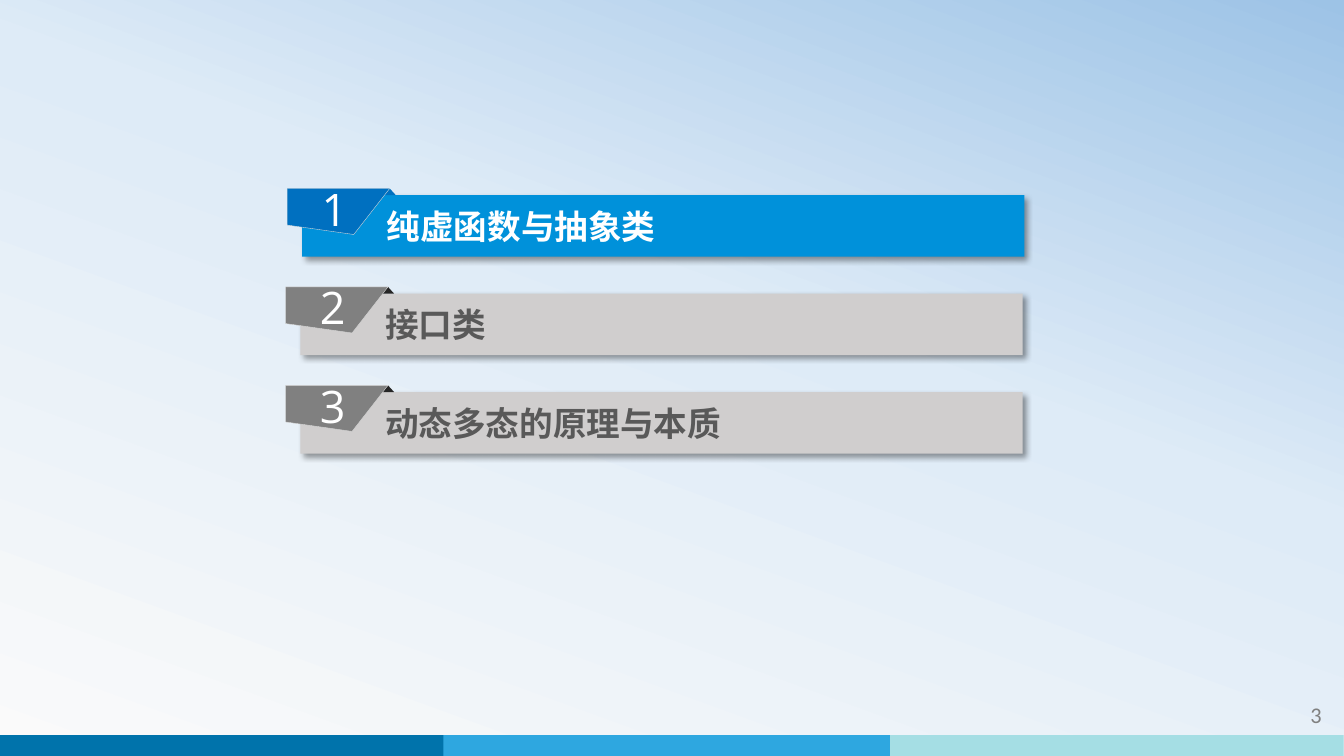
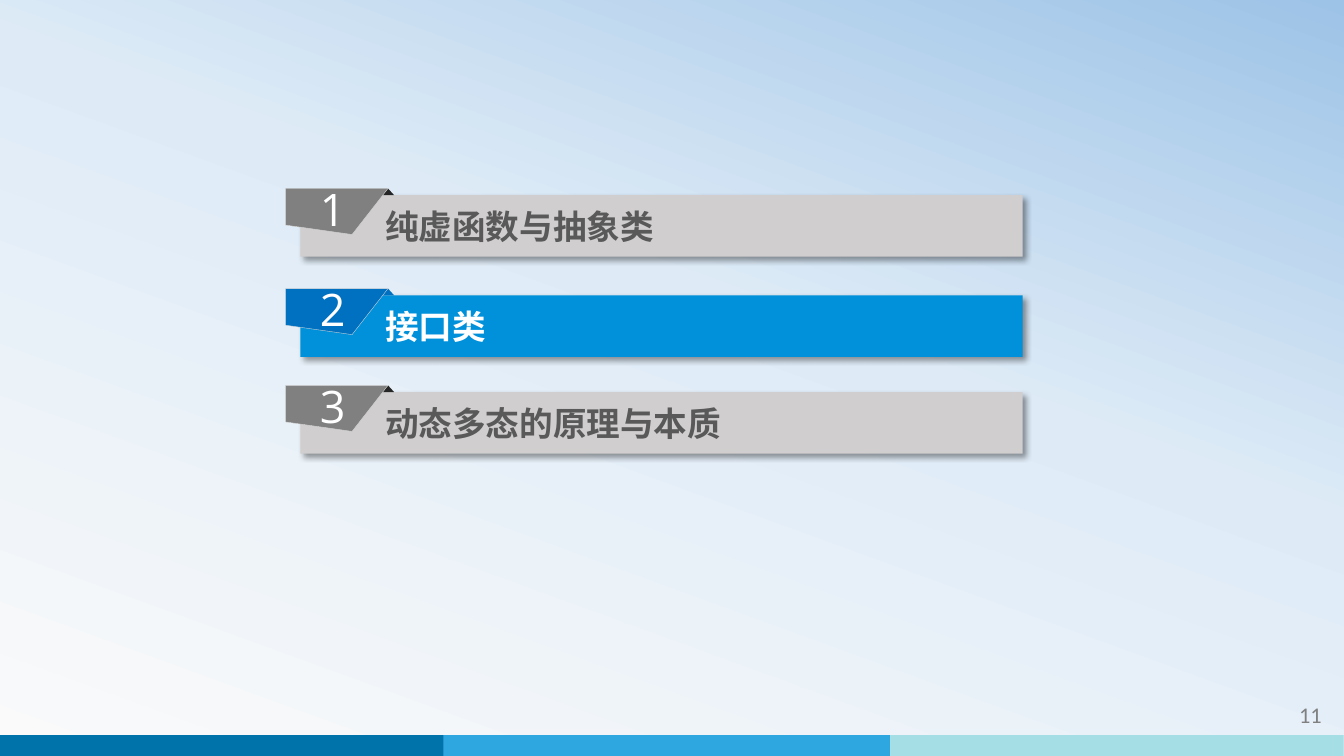
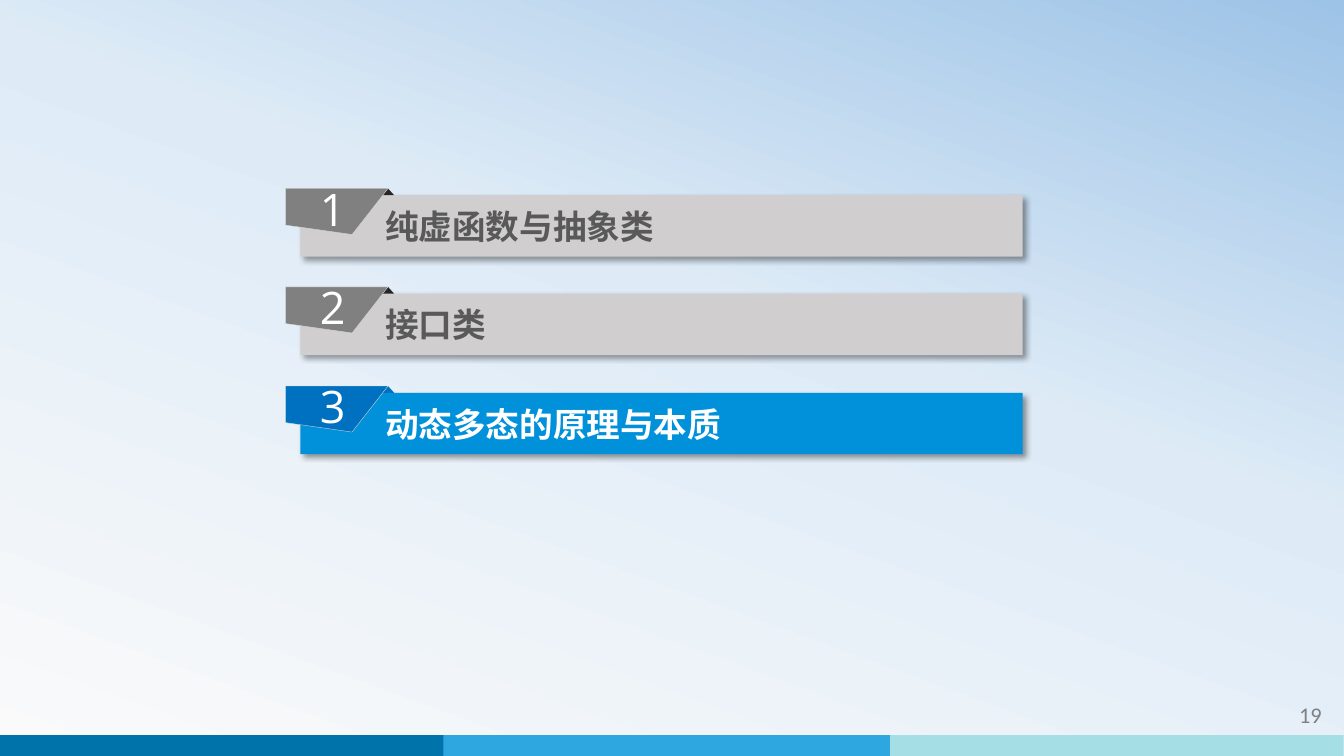
"""Build three agenda slides, each highlighting one section of the lecture."""
from copy import deepcopy

from lxml.etree import SubElement
from pptx import Presentation
from pptx.dml.color import RGBColor
from pptx.enum.shapes import MSO_SHAPE as SHAPE
from pptx.enum.text import MSO_ANCHOR as ANCHOR, PP_ALIGN as ALIGN
from pptx.oxml.ns import qn
from pptx.util import Inches, Pt

COLORS = {
    "white": "FFFFFF", "outline": "D9D9D9", "page_number": "808080", "shadow": "000000",
    "active_bar": "0091DA", "active_tab": "0070C0", "active_fold": "0070C0", "active_text": "FFFFFF",
    "idle_bar": "D0CECE", "idle_tab": "808080", "idle_fold": "262626", "idle_text": "595959",
    "band_dark": "0073AB", "band_mid": "2EA7E0", "band_light": "A5DEE4",
    "sky_low": "FAFAFA", "sky_mid": "DEEBF7", "sky_high": "9DC3E6",
}
SKY = [("sky_low", 0), ("sky_mid", 0.58), ("sky_high", 1)]
BANDS = ["band_dark", "band_mid", "band_light"]
COLUMNS, ROWS = 80, 45
BAND_STEP, ENTRY_STEP = 26.58, 5.86
ENTRY_LEFT, ENTRY_TOP = 17, 11.22
TAB_OUTLINE = [(0, 0), (6.1, 0), (3.96, 2.74), (0, 2.18)]
SECTIONS = ["纯虚函数与抽象类", "接口类", "动态多态的原理与本质"]
AGENDAS = [(3, 0, (0.1, 0)), (11, 1, (0, 0.1)), (19, 2, (0, 0.04))]


def rgb(name):
    return RGBColor.from_string(COLORS[name])


def write(shape, text, *, size, font, color, bold=False, align=ALIGN.LEFT,
          anchor=ANCHOR.MIDDLE, insets=(0.1, 0.05, 0.1, 0.05)):
    tf = shape.text_frame
    tf.word_wrap = True
    tf.vertical_anchor = anchor
    tf.margin_left, tf.margin_top, tf.margin_right, tf.margin_bottom = map(Inches, insets)
    p = tf.paragraphs[0]
    p.alignment = align
    r = p.add_run()
    r.text = text
    r.font.size, r.font.bold, r.font.name = Pt(size), bold, font
    r.font.color.rgb = rgb(color)
    SubElement(r._r.get_or_add_rPr(), qn("a:ea"), typeface=font)


class Deck:
    def __init__(self):
        self.prs = Presentation()
        self.prs.slide_width, self.prs.slide_height = Inches(13.333), Inches(7.5)
        self.s = None

    def x(self, columns):
        return round(self.prs.slide_width * columns / COLUMNS)

    def y(self, rows):
        return round(self.prs.slide_height * rows / ROWS)

    def box(self, left, top, width, height):
        return self.x(left), self.y(top), self.x(width), self.y(height)

    def style(self, shape, fill, line=None):
        shape.shadow.inherit = False
        shape.fill.solid()
        shape.fill.fore_color.rgb = rgb(fill)
        if line:
            shape.line.color.rgb = rgb(line)
            shape.line.width = Pt(0.25)
        else:
            shape.line.fill.background()
        return shape

    def preset(self, group, kind, box, fill):
        return self.style(group.shapes.add_shape(kind, *self.box(*box)), fill)

    def drop_shadow(self, shape):
        effects = shape.element.spPr.find(qn("a:effectLst"))
        shadow = SubElement(effects, qn("a:outerShdw"), blurRad=str(Pt(4)), dist=str(Pt(3)),
                            dir="2700000", algn="tl", rotWithShape="0")
        color = SubElement(shadow, qn("a:srgbClr"), val=COLORS["shadow"])
        SubElement(color, qn("a:alpha"), val="40000")

    def sky(self):
        fill = self.s.background.fill
        fill.gradient()
        fill.gradient_angle = 70
        stops = self.s.element.find(".//" + qn("a:gsLst"))
        stops.append(deepcopy(stops[0]))
        for stop, (color, position) in zip(fill.gradient_stops, SKY):
            stop.color.rgb = rgb(color)
            stop.position = position

    def slide(self, number):
        self.s = self.prs.slides.add_slide(self.prs.slide_layouts[6])
        self.sky()
        footer = self.s.shapes.add_group_shape()
        for i, color in enumerate(BANDS):
            self.preset(footer, SHAPE.RECTANGLE, (i * BAND_STEP - 0.18, 43.75, 27, 1.25), color)
        page = self.s.shapes.add_textbox(*self.box(69.72, 41.46, 9.54, 2.4))
        write(page, str(number), size=16, font="Calibri", color="page_number",
              align=ALIGN.RIGHT, anchor=ANCHOR.TOP)

    def entry(self, index, title, state, nudge):
        left = ENTRY_LEFT + nudge[0]
        top = ENTRY_TOP + index * ENTRY_STEP + nudge[1]
        group = self.s.shapes.add_group_shape()
        bar = self.preset(group, SHAPE.RECTANGLE, (left + 0.88, top + 0.4, 43, 3.66), state + "_bar")
        self.drop_shadow(bar)
        write(bar, title, size=24, font="Noto Sans CJK SC", color=state + "_text", bold=True,
              insets=(0.84, 0.05, 0.1, 0.05))
        self.preset(group, SHAPE.ISOSCELES_TRIANGLE, (left + 5.74, top, 0.72, 0.4), state + "_fold")
        corners = [(self.x(left + dx), self.y(top + dy)) for dx, dy in TAB_OUTLINE]
        outline = group.shapes.build_freeform(*corners[0])
        outline.add_line_segments(corners[1:], close=True)
        tab = self.style(outline.convert_to_shape(), state + "_tab", "outline")
        write(tab, str(index + 1), size=32, font="Open Sans", color="white", align=ALIGN.CENTER,
              insets=(0.09, 0.04, 0.17, 0.1))

    def agenda(self, number, active, nudge):
        self.slide(number)
        for i, title in enumerate(SECTIONS):
            if i == active:
                self.entry(i, title, "active", nudge)
            else:
                self.entry(i, title, "idle", (0, 0))


deck = Deck()
for number, active, nudge in AGENDAS:
    deck.agenda(number, active, nudge)
deck.prs.save("out.pptx")
